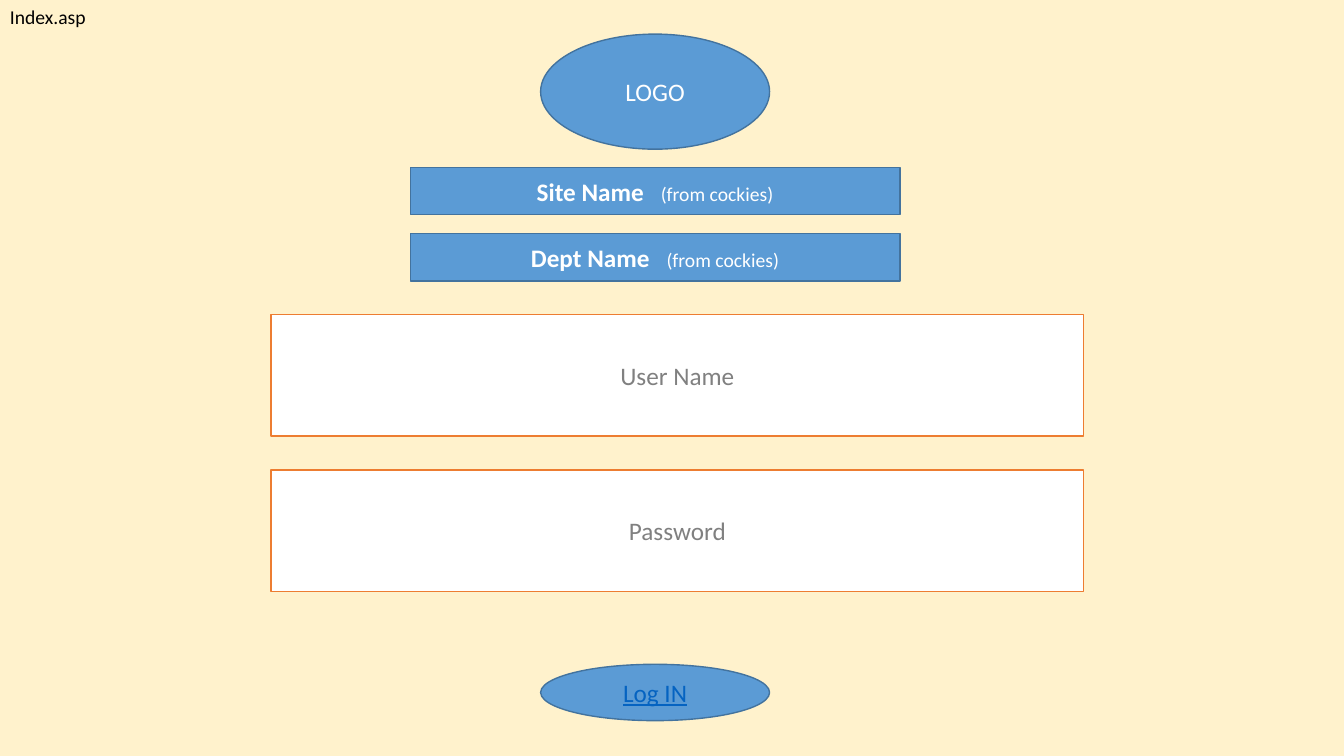
from pptx import Presentation, util as u
from pptx.dml.color import RGBColor
from pptx.enum import shapes, text

FONT = "Calibri"
CREAM, BLUE, NAVY, ORANGE = "FFF2CC", "5B9BD5", "43739E", "ED7D31"
WHITE, GREY, BLACK, LINK = "FFFFFF", "808080", "000000", "0563C1"
OVAL, BOX = shapes.MSO_SHAPE.OVAL, shapes.MSO_SHAPE.RECTANGLE

PAGE_LABEL = "Index.asp"
SOURCE_NOTE = "(from cockies)"
HEADINGS = ["Site Name", "Dept Name"]
FIELDS = ["User Name", "Password"]

# Lengths in centimetres
HEADER_CENTRE, FIELD_CENTRE = 16.51, 17.07
OVAL_WIDTH = 5.77
HEADING_TOP, HEADING_STEP, HEADING_SIZE = 4.22, 1.67, (12.34, 1.19)
FIELD_TOP, FIELD_STEP, FIELD_SIZE = 7.92, 3.92, (20.47, 3.07)


def colour(value):
    """Turn a hex string into a colour."""
    return RGBColor.from_string(value)


def add_run(paragraph, words, size=18, ink=WHITE, bold=False, underline=False):
    """Append one formatted run and return it."""
    run = paragraph.add_run()
    run.text = words
    font = run.font
    font.name, font.size = FONT, u.Pt(size)
    font.bold, font.underline = bold, underline
    font.color.rgb = colour(ink)
    return run


def add_part(kind, centre, top, size, fill=BLUE, line=NAVY):
    """Add a shape centred on a vertical axis and return its paragraph."""
    width, height = size
    shape = slide.shapes.add_shape(
        kind, u.Cm(centre - width / 2), u.Cm(top), u.Cm(width), u.Cm(height))
    shape.shadow.inherit = False
    shape.fill.solid()
    shape.fill.fore_color.rgb = colour(fill)
    shape.line.color.rgb = colour(line)
    shape.line.width = u.Pt(1)
    frame = shape.text_frame
    frame.vertical_anchor = text.MSO_ANCHOR.MIDDLE
    paragraph = frame.paragraphs[0]
    paragraph.alignment = text.PP_ALIGN.CENTER
    return paragraph


presentation = Presentation()
presentation.slide_width, presentation.slide_height = u.Cm(33.87), u.Cm(19.05)
slide = presentation.slides.add_slide(presentation.slide_layouts[6])
slide.background.fill.solid()
slide.background.fill.fore_color.rgb = colour(CREAM)

label = slide.shapes.add_textbox(0, 0, u.Cm(2.44), u.Cm(0.86))
label.text_frame.word_wrap = False
label.text_frame.auto_size = text.MSO_AUTO_SIZE.SHAPE_TO_FIT_TEXT
add_run(label.text_frame.paragraphs[0], PAGE_LABEL, 14, BLACK)

logo = add_part(OVAL, HEADER_CENTRE, 0.86, (OVAL_WIDTH, 2.9))
add_run(logo, "LOGO")

for row, heading in enumerate(HEADINGS):
    paragraph = add_part(BOX, HEADER_CENTRE, HEADING_TOP + row * HEADING_STEP, HEADING_SIZE)
    add_run(paragraph, heading, bold=True)
    gap = add_run(paragraph, " ", bold=True)
    gap.font._element.set("spc", "800")  # widens the space by 8 pt
    add_run(paragraph, SOURCE_NOTE, 14)

for row, field in enumerate(FIELDS):
    paragraph = add_part(BOX, FIELD_CENTRE, FIELD_TOP + row * FIELD_STEP, FIELD_SIZE,
                         WHITE, ORANGE)
    add_run(paragraph, field, ink=GREY)

login = add_part(OVAL, HEADER_CENTRE, 16.74, (OVAL_WIDTH, 1.42))
add_run(login, "Log IN", ink=LINK, underline=True)

presentation.save("out.pptx")
